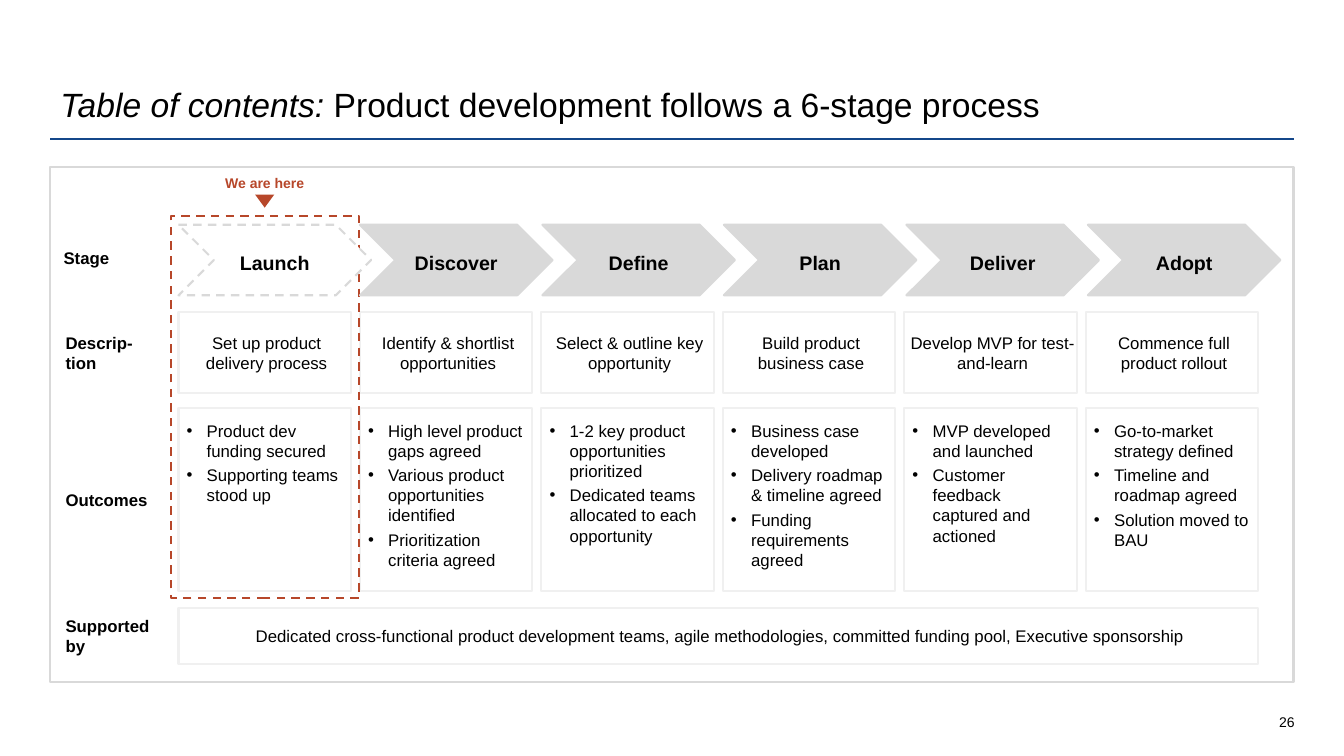
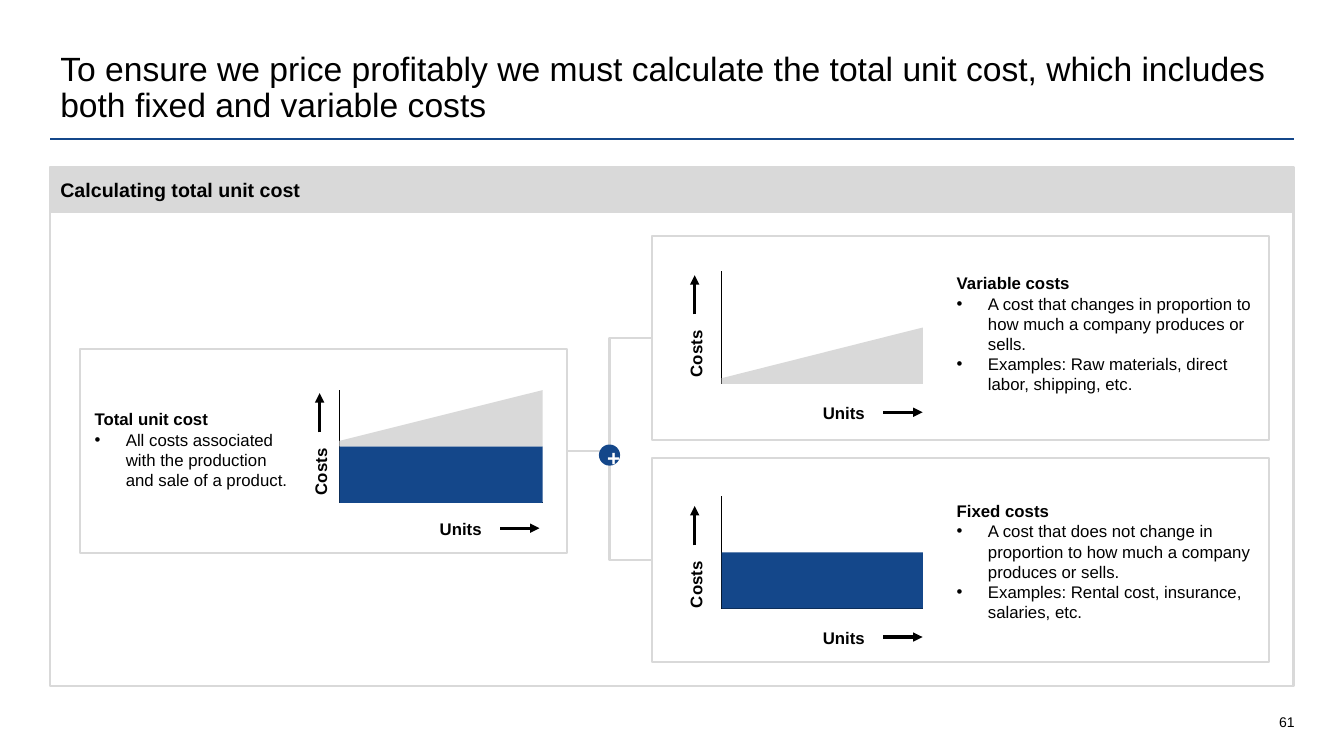
from lxml.etree import SubElement
from pptx import Presentation
from pptx.chart.data import CategoryChartData
from pptx.dml.color import RGBColor
from pptx.enum.chart import XL_CHART_TYPE as CHART
from pptx.enum.chart import XL_TICK_LABEL_POSITION as TICK_LABEL
from pptx.enum.chart import XL_TICK_MARK as TICK
from pptx.enum.dml import MSO_LINE
from pptx.enum.shapes import MSO_CONNECTOR as CONNECTOR
from pptx.enum.shapes import MSO_SHAPE as SHAPE
from pptx.enum.text import MSO_ANCHOR as ANCHOR
from pptx.enum.text import PP_ALIGN as ALIGN
from pptx.oxml import parse_xml
from pptx.oxml.ns import nsdecls, qn
from pptx.util import Emu, Pt

PX = 9144  # 100 px to the inch
FONT = "Arial"
COLORS = {
    "white": "FFFFFF",
    "black": "000000",
    "blue": "14478A",
    "grey": "D9D9D9",
    "pale": "F0F0F0",
    "red": "B7472A",
}
TIGHT = (4, 5, 0, 5)
ROOMY = (10, 12, 10, 12)
LISTED = (8, 12, 8, 5)
NONE = (0, 0, 0, 0)

STAGES = [
    ("Launch", "Set up product delivery process",
     ["Product dev funding secured", "Supporting teams stood up"]),
    ("Discover", "Identify & shortlist opportunities",
     ["High level product gaps agreed", "Various product opportunities identified",
      "Prioritization criteria agreed"]),
    ("Define", "Select & outline key opportunity",
     ["1-2 key product opportunities prioritized",
      "Dedicated teams allocated to each opportunity"]),
    ("Plan", "Build product business case",
     ["Business case developed", "Delivery roadmap & timeline agreed",
      "Funding requirements agreed"]),
    ("Deliver", "Develop MVP for test-and-learn",
     ["MVP developed and launched", "Customer feedback captured and actioned"]),
    ("Adopt", "Commence full product rollout",
     ["Go-to-market strategy defined", "Timeline and roadmap agreed",
      "Solution moved to BAU"]),
]
ROW_LABELS = [
    ("Stage", 59, 216, 80),
    ("Descrip-\ntion", 61, 310, 80),
    ("Outcomes", 61, 405, 181),
    ("Supported\nby", 61, 603, 56),
]

FIXED = ([100] * 10, "blue")
VARIABLE = (list(range(10, 101, 10)), "grey")


def px(length):
    return Emu(round(length * PX))


def rgb(color):
    return RGBColor.from_string(COLORS[color])


class Deck:
    def __init__(self):
        self.prs = Presentation()
        self.prs.slide_width = px(1333)
        self.prs.slide_height = px(750)
        self.shapes = None

    def slide(self, title_runs, number):
        """Start a slide with its rule, title and page number."""
        self.shapes = self.prs.slides.add_slide(self.prs.slide_layouts[6]).shapes
        self.line(50, 138, 1283, 138, "blue")
        title = self.text_box(50, 40, 1233, 89, anchor=ANCHOR.BOTTOM)
        self.paragraph(title, *title_runs, size=24, spacing=0.9)
        page = self.text_box(1220, 692, 64, 33, NONE, ANCHOR.BOTTOM)
        self.paragraph(page, (str(number), ""), size=10, align=ALIGN.RIGHT)

    def shape(self, kind, x, y, w, h, fill=None, border=None, dashed=False):
        shape = self.shapes.add_shape(kind, px(x), px(y), px(w), px(h))
        shape.shadow.inherit = False
        if fill:
            shape.fill.solid()
            shape.fill.fore_color.rgb = rgb(fill)
        else:
            shape.fill.background()
        if border:
            self.stroke(shape.line, border, 1.5)
            if dashed:
                shape.line.dash_style = MSO_LINE.DASH
        else:
            shape.line.fill.background()
        return shape

    def text_box(self, x, y, w, h, margins=(10, 5, 10, 5), anchor=ANCHOR.TOP):
        box = self.shapes.add_textbox(px(x), px(y), px(w), px(h))
        self.frame(box, margins, anchor)
        return box

    def frame(self, shape, margins, anchor=ANCHOR.MIDDLE, wrap=True):
        frame = shape.text_frame
        frame.word_wrap = wrap
        frame.vertical_anchor = anchor
        (frame.margin_left, frame.margin_top,
         frame.margin_right, frame.margin_bottom) = map(px, margins)

    def paragraph(self, shape, *runs, size=12, color="black", align=ALIGN.LEFT,
                  spacing=1.0, after=0, hang=0):
        """Add runs given as (text, flags), flags holding b or i; hang makes a bullet."""
        frame = shape.text_frame
        last = frame.paragraphs[-1]
        paragraph = frame.add_paragraph() if last.runs else last
        if hang:
            props = paragraph._p.get_or_add_pPr()
            props.set("marL", str(px(hang)))
            props.set("indent", str(px(-hang)))
            SubElement(props, qn("a:buFont")).set("typeface", FONT)
            SubElement(props, qn("a:buChar")).set("char", "•")
        paragraph.alignment = align
        paragraph.line_spacing = spacing
        paragraph.space_after = Pt(after)
        for text, flags in runs:
            for i, part in enumerate(text.split("\n")):
                if i:
                    paragraph.add_line_break()
                run = paragraph.add_run()
                run.text = part
                font = run.font
                font.name, font.size = FONT, Pt(size)
                font.bold, font.italic = "b" in flags, "i" in flags
                font.color.rgb = rgb(color)

    def box(self, x, y, w, h, text):
        box = self.shape(SHAPE.RECTANGLE, x, y, w, h, "white", "pale")
        self.frame(box, TIGHT)
        self.paragraph(box, (text, ""), align=ALIGN.CENTER)

    def bullet_box(self, x, y, w, h, items):
        box = self.shape(SHAPE.RECTANGLE, x, y, w, h, "white", "pale")
        self.frame(box, LISTED, ANCHOR.TOP)
        for item in items:
            self.paragraph(box, (item, ""), after=3, hang=20)

    def definition(self, x, y, w, h, term, items):
        box = self.text_box(x, y, w, h)
        self.paragraph(box, (term, "b"))
        for item in items:
            self.paragraph(box, (item, ""), hang=31)

    def stroke(self, line, color, width):
        line.color.rgb = rgb(color)
        line.width = Pt(width)

    def line(self, x1, y1, x2, y2, color, width=1.5, kind=CONNECTOR.STRAIGHT,
             arrow=False):
        line = self.shapes.add_connector(kind, px(x1), px(y1), px(x2), px(y2))
        self.stroke(line.line, color, width)
        if arrow:
            SubElement(line.line._get_or_add_ln(), qn("a:tailEnd")).set("type", "triangle")
        SubElement(line._element.spPr, qn("a:effectLst"))
        return line

    def elbow(self, start, end):
        """Join the left side of start to the right side of end."""
        line = self.line(0, 0, 1, 1, "grey", kind=CONNECTOR.ELBOW)
        line.begin_connect(start, 1)
        line.end_connect(end, 3)

    def axis_name(self, text, cx, cy, rotation=0):
        name = self.text_box(cx - 28, cy - 10, 56, 20, NONE)
        name.rotation = rotation
        self.paragraph(name, (text, "b"), align=ALIGN.CENTER, spacing=1.1)

    def cost_chart(self, x, y, w, series, costs, units):
        """Draw an area chart; costs and units are the centres of the axis names."""
        data = CategoryChartData()
        data.categories = [str(n) for n in range(1, 11)]
        for i, (values, _) in enumerate(series, 1):
            data.add_series(f"Series {i}", values)
        kind = CHART.AREA_STACKED if len(series) > 1 else CHART.AREA
        chart = self.shapes.add_chart(kind, px(x), px(y), px(w), px(130), data).chart
        chart.has_legend = chart.has_title = False
        chart.font.name, chart.font.size = FONT, Pt(10)
        chart.font.color.rgb = rgb("black")
        plot = chart.plots[0]
        plot.vary_by_categories = False
        for drawn, (_, color) in zip(plot.series, series):
            drawn.format.fill.solid()
            drawn.format.fill.fore_color.rgb = rgb(color)
        for axis in (chart.category_axis, chart.value_axis):
            axis.has_major_gridlines = False
            axis.major_tick_mark = axis.minor_tick_mark = TICK.NONE
            axis.tick_label_position = TICK_LABEL.NONE
            self.stroke(axis.format.line, "black", 0.75)
        chart.value_axis.minimum_scale = 0
        chart.value_axis.maximum_scale = 200
        self.fit_plot(chart)

        cx, cy = costs
        self.axis_name("Costs", cx, cy, 270)
        self.line(cx + 1, cy - 39, cx + 1, cy - 78, "black", 2.25, arrow=True)
        cx, cy = units
        self.axis_name("Units", cx, cy)
        self.line(cx + 39, cy + 1, cx + 78, cy + 1, "black", 2.25, arrow=True)

    def fit_plot(self, chart):
        """Fix the plot area and start the areas on the value axis."""
        area = chart._chartSpace.chart.plotArea
        for crossing in area.iter(qn("c:crossBetween")):
            crossing.set("val", "midCat")
        for old in area.findall(qn("c:layout")):
            area.remove(old)
        layout = parse_xml(f"<c:layout {nsdecls('c')}><c:manualLayout/></c:layout>")
        settings = {"layoutTarget": "inner", "xMode": "edge", "yMode": "edge",
                    "x": "0.04", "y": "0.07", "w": "0.92", "h": "0.86"}
        for tag, value in settings.items():
            SubElement(layout[0], qn(f"c:{tag}")).set("val", value)
        area.insert(0, layout)


def build_process(deck):
    deck.slide([("Table of contents: ", "i"),
                ("Product development follows a 6-stage process", "")], 26)
    deck.shape(SHAPE.RECTANGLE, 50, 166, 1233, 511, "white", "grey")
    for text, x, y, h in ROW_LABELS:
        label = deck.text_box(x, y, 105, h, TIGHT, ANCHOR.MIDDLE)
        deck.paragraph(label, (text, "b"))
    for i, (_, description, outcomes) in enumerate(STAGES):
        x = 177 + 180 * i
        deck.box(x, 310, 171, 80, description)
        deck.bullet_box(x, 405, 171, 181, outcomes)
    deck.box(177, 603, 1071, 56,
             "Dedicated cross-functional product development teams, agile "
             "methodologies, committed funding pool, Executive sponsorship")

    here = deck.text_box(209, 170, 107, 20, NONE, ANCHOR.MIDDLE)
    deck.paragraph(here, ("We are here", "b"), size=10, color="red",
                   align=ALIGN.CENTER, spacing=1.2)
    deck.shape(SHAPE.ISOSCELES_TRIANGLE, 253, 193, 19, 13, "red").rotation = 180
    deck.shape(SHAPE.RECTANGLE, 170, 214, 186, 379, border="red", dashed=True)

    for i, (name, _, _) in enumerate(STAGES):
        current = i == 0
        stage = deck.shape(SHAPE.CHEVRON, 177 + round(180.4 * i), 223, 191, 70,
                           "white" if current else "grey", "grey", current)
        deck.frame(stage, ROOMY, wrap=False)
        deck.paragraph(stage, (name, "b"), size=14, align=ALIGN.CENTER, spacing=1.2)


def build_unit_cost(deck):
    deck.slide([("To ensure we price profitably we must calculate the total unit "
                 "cost, which includes both fixed and variable costs", "")], 61)
    deck.shape(SHAPE.RECTANGLE, 50, 209, 1233, 472, "white", "grey")
    header = deck.shape(SHAPE.RECTANGLE, 50, 166, 1233, 44, "grey", "grey")
    deck.frame(header, (10, 5, 10, 5))
    deck.paragraph(header, ("Calculating total unit cost", "b"), size=14)

    total, variable, fixed = [
        deck.shape(SHAPE.RECTANGLE, x, y, w, 203, border="grey")
        for x, y, w in [(79, 346, 483), (647, 234, 612), (647, 454, 612)]]
    deck.elbow(variable, total)
    deck.elbow(fixed, total)
    plus = deck.shape(SHAPE.OVAL, 594, 441, 21, 21, "blue")
    deck.frame(plus, ROOMY)
    deck.paragraph(plus, ("+", "b"), size=16, color="white",
                   align=ALIGN.CENTER, spacing=1.2)

    deck.cost_chart(328, 378, 219, [FIXED, VARIABLE], (316, 468), (457, 523))
    deck.cost_chart(707, 260, 217, [VARIABLE], (688, 351), (837, 408))
    deck.cost_chart(707, 483, 217, [FIXED], (688, 580), (837, 631))

    deck.definition(84, 401, 220, 91, "Total unit cost", [
        "All costs associated with the production and sale of a product."])
    deck.definition(939, 266, 321, 131, "Variable costs", [
        "A cost that changes in proportion to how much a company produces or sells.",
        "Examples: Raw materials, direct labor, shipping, etc."])
    deck.definition(939, 492, 321, 131, "Fixed costs", [
        "A cost that does not change in proportion to how much a company "
        "produces or sells.",
        "Examples: Rental cost, insurance, salaries, etc."])


def main():
    deck = Deck()
    build_process(deck)
    build_unit_cost(deck)
    deck.prs.save("out.pptx")


if __name__ == "__main__":
    main()
